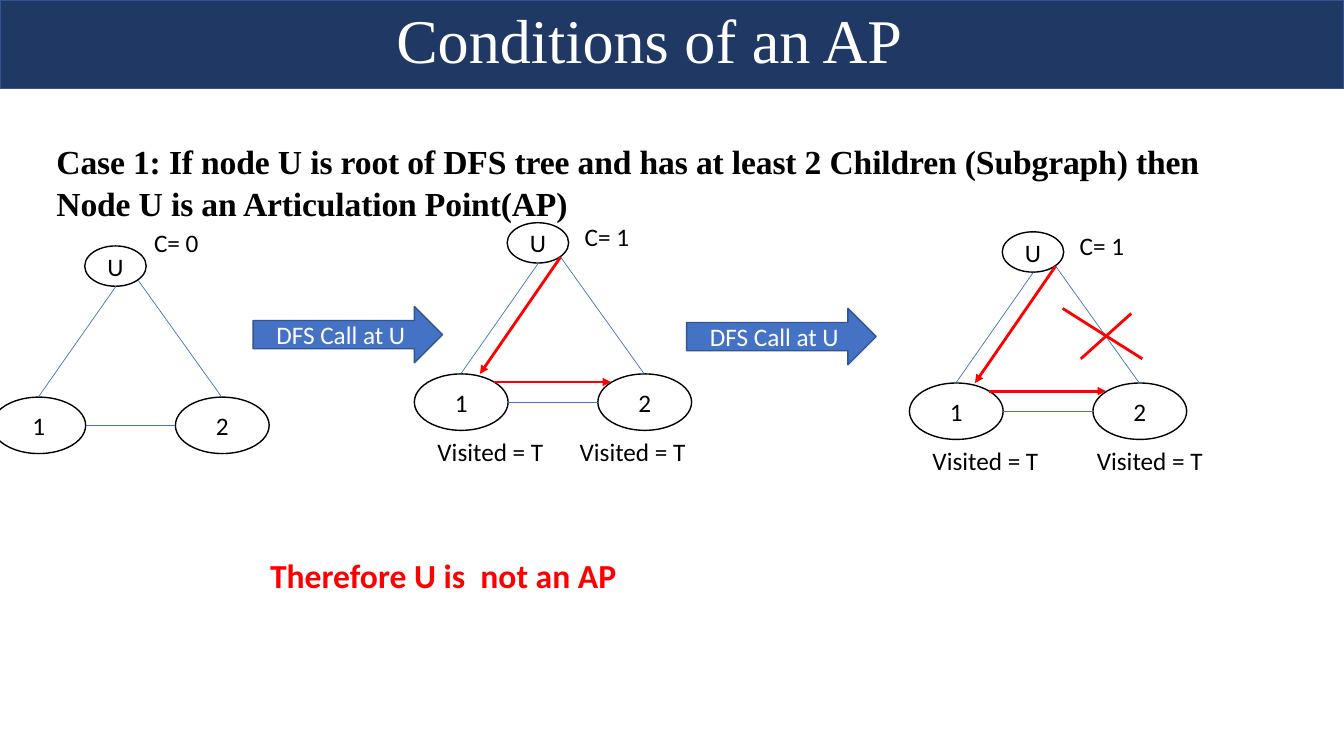
"""Build the slide on the first condition of an articulation point."""
from pptx import Presentation
from pptx.dml.color import RGBColor
from pptx.enum.shapes import MSO_CONNECTOR as Connector, MSO_SHAPE as Preset
from pptx.enum.text import MSO_ANCHOR as Anchor, PP_ALIGN as Align
from pptx.oxml.ns import qn
from pptx.util import Inches, Pt
from lxml.etree import SubElement

WHITE, BLACK, RED = RGBColor(255, 255, 255), RGBColor(0, 0, 0), RGBColor(255, 0, 0)
NAVY, BLUE, BORDER = RGBColor(0x20, 0x38, 0x64), RGBColor(0x44, 0x72, 0xC4), RGBColor(0x32, 0x54, 0x91)

WIDTH, HEIGHT = 13.33, 7.5
TITLE = "Conditions of an AP"
CASE = ("Case 1: If node U is root of DFS tree and has at least 2 Children (Subgraph) "
        "then Node U is an Articulation Point(AP)")
CONCLUSION = "Therefore U is  not an AP"
CALL, VISITED = "DFS Call at U", "Visited = T"
CALL_PLACES = [(2.51, 3.04), (6.81, 3.06)]
CALL_SIZE = (1.88, 0.56)

NODES = [("U", 0.92, 0, 0.61, 0.4), ("2", 1.82, 1.5, 0.93, 0.56), ("1", 0, 1.5, 0.93, 0.56)]
EDGES = [(1.23, 0.4, 0.46, 1.5), (1.45, 0.34, 2.28, 1.5), (0.93, 1.78, 1.82, 1.78)]
VISITS = [(1.45, 0.34, 0.65, 1.5), (0.79, 1.58, 1.95, 1.58)]
CROSS = [(2.2, 0.81, 1.7, 1.26), (1.52, 0.76, 2.31, 1.26)]
GRAPHS = [
    {"origin": (-0.08, 2.44), "count": "C= 0", "count_at": (1.51, -0.23),
     "visits": [], "visited_at": [], "cross": []},
    {"origin": (4.11, 2.21), "count": "C= 1", "count_at": (1.59, -0.06),
     "visits": VISITS, "visited_at": [0.13, 1.54], "cross": []},
    {"origin": (9.02, 2.3), "count": "C= 1", "count_at": (1.59, -0.06),
     "visits": VISITS, "visited_at": [0.13, 1.76], "cross": CROSS},
]
VISITED_TOP = 2.07

BODY = {"name": "Calibri", "size": Pt(18)}
TITLE_FONT = {"name": "Times New Roman", "size": Pt(44.4)}
CASE_FONT = {"name": "Times New Roman", "size": Pt(24), "bold": True}
CONCLUSION_FONT = {"name": "Calibri", "size": Pt(24), "bold": True}


def write(frame, words, font, color, align=Align.LEFT, anchor=Anchor.TOP):
    frame.word_wrap = True
    frame.vertical_anchor = anchor
    paragraph = frame.paragraphs[0]
    paragraph.alignment = align
    run = paragraph.add_run()
    run.text = words
    for key, value in font.items():
        setattr(run.font, key, value)
    run.font.color.rgb = color
    return paragraph


def add_label(slide, words, place, font=BODY, color=BLACK, **layout):
    frame = slide.shapes.add_textbox(*map(Inches, place)).text_frame
    write(frame, words, font, color, **layout)
    return frame


def add_block(slide, preset, place, fill, border, words="", color=BLACK):
    block = slide.shapes.add_shape(preset, *map(Inches, place))
    block.shadow.inherit = False
    block.fill.solid()
    block.fill.fore_color.rgb = fill
    block.line.color.rgb = border
    block.line.width = Pt(1)
    if words:
        write(block.text_frame, words, BODY, color, Align.CENTER, Anchor.MIDDLE)


def add_line(slide, origin, ends, color, weight, arrow=False):
    left, top = origin
    x1, y1, x2, y2 = ends
    line = slide.shapes.add_connector(
        Connector.STRAIGHT, *map(Inches, (left + x1, top + y1, left + x2, top + y2)))
    line.line.color.rgb = color
    line.line.width = Pt(weight)
    if arrow:
        SubElement(line.line._get_or_add_ln(), qn("a:tailEnd"), type="triangle")
    SubElement(line._element.spPr, qn("a:effectLst"))


def add_graph(slide, graph):
    left, top = origin = graph["origin"]
    for name, x, y, width, height in NODES:
        add_block(slide, Preset.OVAL, (left + x, top + y, width, height), WHITE, BLACK, name)
    for ends in EDGES:
        add_line(slide, origin, ends, BLUE, 0.5)
    for ends in graph["visits"]:
        add_line(slide, origin, ends, RED, 2, arrow=True)
    for ends in graph["cross"]:
        add_line(slide, origin, ends, RED, 2)
    x, y = graph["count_at"]
    add_label(slide, graph["count"], (left + x, top + y, 0.83, 0.4))
    for x in graph["visited_at"]:
        add_label(slide, VISITED, (left + x, top + VISITED_TOP, 1.69, 0.4))


def main():
    deck = Presentation()
    deck.slide_width, deck.slide_height = Inches(WIDTH), Inches(HEIGHT)
    slide = deck.slides.add_slide(deck.slide_layouts[6])

    add_block(slide, Preset.RECTANGLE, (0, 0, WIDTH, 0.88), NAVY, BORDER)
    add_label(slide, TITLE, (0.69, 0, 11.5, 0.8), TITLE_FONT, WHITE,
              align=Align.CENTER, anchor=Anchor.BOTTOM)
    case = add_label(slide, CASE, (0.56, 1.36, 11.5, 1.28), CASE_FONT)
    for side in ("left", "top", "right", "bottom"):
        setattr(case, f"margin_{side}", Inches(0.01 if side == "top" else 0))
    case.paragraphs[0].line_spacing = 1.06
    case.paragraphs[0].runs[0].font._element.set("spc", "-10")

    for graph in GRAPHS:
        add_graph(slide, graph)
    for place in CALL_PLACES:
        add_block(slide, Preset.RIGHT_ARROW, place + CALL_SIZE, BLUE, BORDER, CALL, WHITE)
    add_label(slide, CONCLUSION, (2.58, 5.46, 6.24, 0.5), CONCLUSION_FONT, RED)
    deck.save("out.pptx")


if __name__ == "__main__":
    main()
